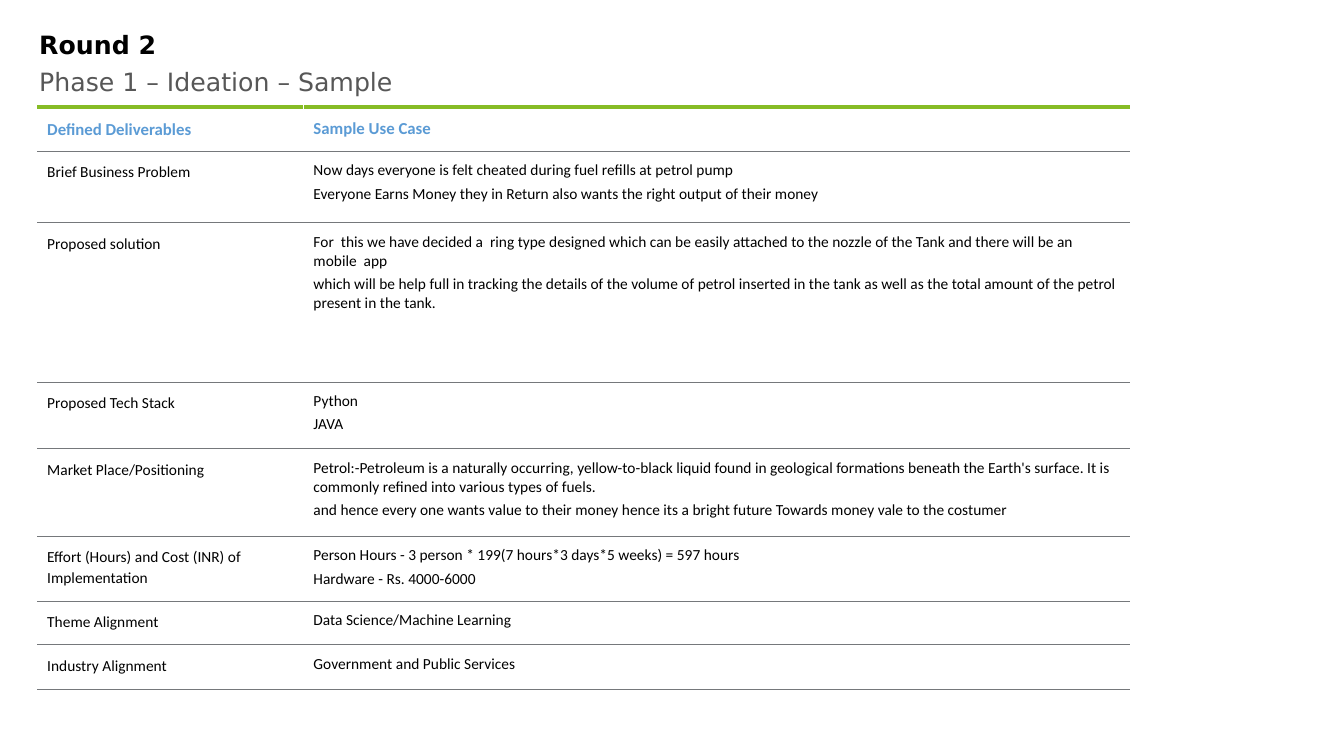
from dataclasses import dataclass

import pptx
import pptx.dml.color
import pptx.enum.text
import pptx.oxml
import pptx.oxml.ns
import pptx.util
from pptx.util import Cm


@dataclass(frozen=True)
class Theme:
    title_font: str = "DejaVu Sans"
    body_font: str = "Calibri"
    title_size: int = 18
    header_size: int = 12
    body_size: int = 11
    black: str = "000000"
    grey: str = "575757"
    blue: str = "5B9BD5"
    green: str = "86BC25"
    rule: str = "75787B"
    white: str = "FFFFFF"


THEME = Theme()
NO_GRID_STYLE = "{2D5ABB26-0587-4C30-8999-92F81FD0307C}"
COLUMN_WIDTHS = (6.71, 20.83)
HEADER_HEIGHT = 1.12
HEADINGS = ("Defined Deliverables", "Sample Use Case")
DELIVERABLES = [
    (1.8, "Brief Business Problem", [
        "Now days everyone is felt cheated during fuel refills at petrol pump",
        "Everyone Earns Money they in Return also wants the right output of their money"]),
    (4.01, "Proposed solution", [
        "For  this we have decided a  ring type designed which can be easily attached to "
        "the nozzle of the Tank and there will be an mobile  app",
        "which will be help full in tracking the details of the volume of petrol inserted "
        "in the tank as well as the total amount of the petrol present in the tank."]),
    (1.68, "Proposed Tech Stack", ["Python", "JAVA"]),
    (2.21, "Market Place/Positioning", [
        "Petrol:-Petroleum is a naturally occurring, yellow-to-black liquid found in "
        "geological formations beneath the Earth's surface. It is commonly refined into "
        "various types of fuels.",
        "and hence every one wants value to their money hence its a bright future "
        "Towards money vale to the costumer"]),
    (1.64, "Effort (Hours) and Cost (INR) of Implementation", [
        "Person Hours - 3 person * 199(7 hours*3 days*5 weeks) = 597 hours",
        "Hardware - Rs. 4000-6000"]),
    (1.09, "Theme Alignment", ["Data Science/Machine Learning"]),
    (1.13, "Industry Alignment", ["Government and Public Services"]),
]


def write(frame, lines, *, size, color, font=THEME.body_font, bold=False,
          before=0, after=0, spacing=1.0):
    """Fill a text frame with one paragraph per line."""
    frame.word_wrap = True
    for index, line in enumerate(lines):
        para = frame.add_paragraph() if index else frame.paragraphs[0]
        para.space_before = pptx.util.Pt(before)
        para.space_after = pptx.util.Pt(after)
        para.line_spacing = spacing
        span = para.add_run()
        span.text = line
        span.font.name = font
        span.font.size = pptx.util.Pt(size)
        span.font.bold = bold
        span.font.color.rgb = pptx.dml.color.RGBColor.from_string(color)


def add_title(page, text, top, height, **text_format):
    box = page.shapes.add_textbox(Cm(0.99), Cm(top), Cm(23.27), Cm(height))
    frame = box.text_frame
    frame.margin_left = frame.margin_right = frame.margin_top = frame.margin_bottom = 0
    write(frame, [text], size=THEME.title_size, font=THEME.title_font, **text_format)


def set_borders(cell, **borders):
    """Draw the given (colour, points) edges L, R, T and B; hide the others."""
    properties = cell._tc.get_or_add_tcPr()
    for position, edge in enumerate("LRTB"):
        color, points = borders.get(edge, (None, 0))
        paint = (f'<a:solidFill><a:srgbClr val="{color}"/></a:solidFill>'
                 if color else "<a:noFill/>")
        line = pptx.oxml.parse_xml(
            f'<a:ln{edge} {pptx.oxml.ns.nsdecls("a")} w="{int(pptx.util.Pt(points))}">'
            f"{paint}</a:ln{edge}>")
        properties.insert(position, line)


def format_cell(cell, **borders):
    cell.margin_left = cell.margin_right = Cm(0.25)
    cell.margin_top = cell.margin_bottom = Cm(0.25)
    cell.fill.solid()
    cell.fill.fore_color.rgb = pptx.dml.color.RGBColor.from_string(THEME.white)
    set_borders(cell, B=(THEME.rule, 0.25), **borders)


def fill_header(table):
    divider = (THEME.white, 0.5)
    for column, (heading, inner_edge, spacing) in enumerate(zip(HEADINGS, "RL", (1.1, 1.0))):
        cell = table.cell(0, column)
        format_cell(cell, T=(THEME.green, 3), **{inner_edge: divider})
        cell.vertical_anchor = pptx.enum.text.MSO_ANCHOR.MIDDLE
        write(cell.text_frame, [heading], size=THEME.header_size, color=THEME.blue,
              bold=True, spacing=spacing)


def fill_deliverable(table, row, name, details):
    contents = (([name], {"after": 6, "spacing": 1.1}), (details, {}))
    for column, (lines, text_format) in enumerate(contents):
        cell = table.cell(row, column)
        format_cell(cell, T=(THEME.rule, 0.25))
        write(cell.text_frame, lines, size=THEME.body_size, color=THEME.black,
              before=3, **text_format)


def add_deliverables_table(page):
    heights = [HEADER_HEIGHT] + [height for height, _, _ in DELIVERABLES]
    table = page.shapes.add_table(
        len(heights), len(COLUMN_WIDTHS), Cm(0.94), Cm(2.69),
        Cm(sum(COLUMN_WIDTHS)), Cm(sum(heights))).table
    table.horz_banding = False
    table._tbl.tblPr.find(pptx.oxml.ns.qn("a:tableStyleId")).text = NO_GRID_STYLE
    for column, width in zip(table.columns, COLUMN_WIDTHS):
        column.width = Cm(width)
    for row, height in zip(table.rows, heights):
        row.height = Cm(height)
    fill_header(table)
    for row, (_, name, details) in enumerate(DELIVERABLES, start=1):
        fill_deliverable(table, row, name, details)


def main():
    deck = pptx.Presentation()
    deck.slide_width, deck.slide_height = Cm(33.87), Cm(19.05)
    page = deck.slides.add_slide(deck.slide_layouts[6])
    add_title(page, "Phase 1 – Ideation – Sample", 1.68, 1.02, color=THEME.grey, after=10)
    add_title(page, "Round 2", 0.74, 0.94, color=THEME.black, bold=True)
    add_deliverables_table(page)
    deck.save("out.pptx")


if __name__ == "__main__":
    main()
